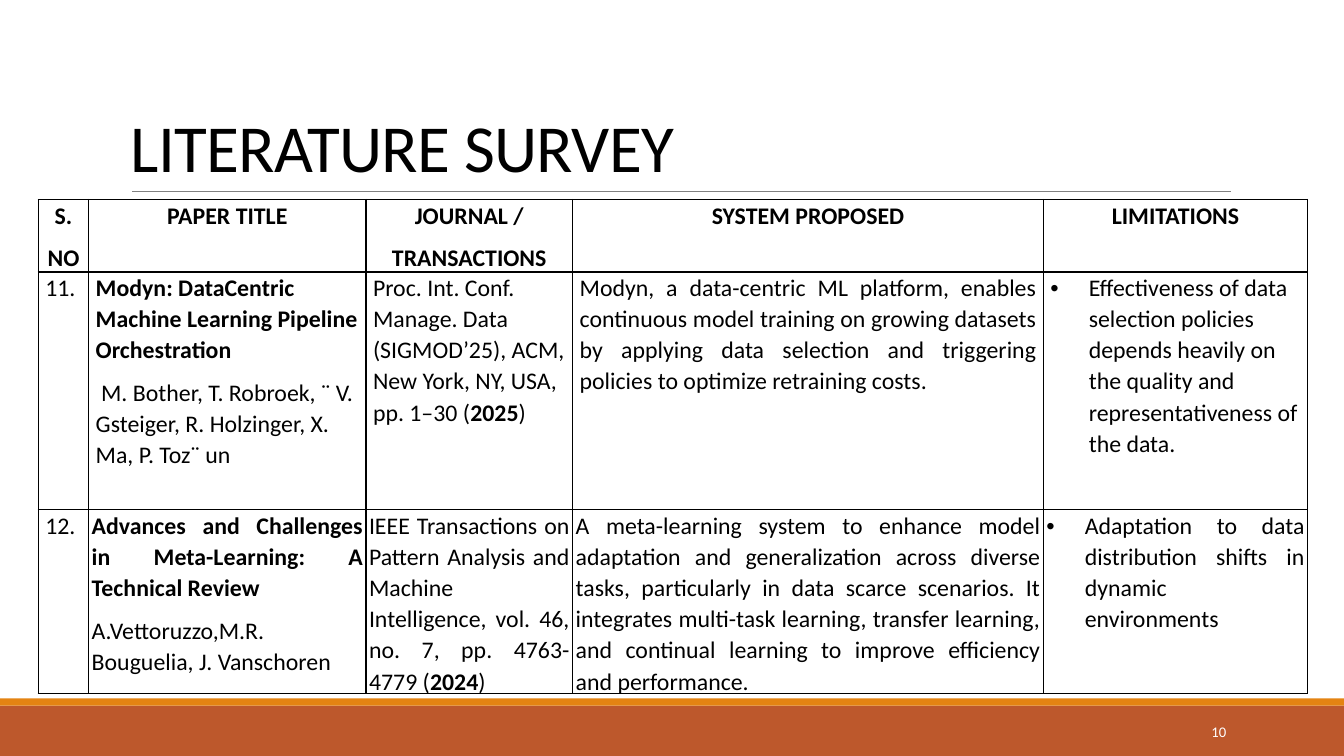
"""Build the literature survey slide with its table of reviewed papers."""
from dataclasses import dataclass

from lxml.etree import SubElement
from pptx import Presentation
from pptx.dml.color import RGBColor
from pptx.enum.shapes import MSO_CONNECTOR as Connector, MSO_SHAPE as Shape
from pptx.enum.text import MSO_ANCHOR as Anchor, PP_ALIGN as Align
from pptx.oxml.ns import qn
from pptx.util import Inches, Pt

TITLE = "LITERATURE SURVEY"
PAGE_NUMBER = "10"
HEADERS = [["S.", "NO"], ["PAPER TITLE"], ["JOURNAL /", "TRANSACTIONS"],
           ["SYSTEM PROPOSED"], ["LIMITATIONS"]]
PAPERS = [
    {
        "number": "11.",
        "title": "Modyn: DataCentric Machine Learning Pipeline Orchestration",
        "authors": " M. Bother, T. Robroek, ¨ V. Gsteiger, R. Holzinger, X. Ma, P. Toz¨ un",
        "journal": "Proc. Int. Conf. Manage. Data (SIGMOD’25), ACM, New York, NY, USA, pp. 1–30 (",
        "year": "2025",
        "system": "Modyn, a data-centric ML platform, enables continuous model training on "
                  "growing datasets by applying data selection and triggering policies to "
                  "optimize retraining costs.",
        "limitation": "Effectiveness of data selection policies depends heavily on the "
                      "quality and representativeness of the data.",
        "align": Align.LEFT,
        "inset": 0.07,
    },
    {
        "number": "12.",
        "title": "Advances and Challenges in Meta-Learning: A Technical Review",
        "authors": "A.Vettoruzzo,M.R. Bouguelia, J. Vanschoren",
        "journal": "IEEE Transactions on Pattern Analysis and Machine Intelligence, vol. 46, "
                   "no. 7, pp. 4763- 4779 (",
        "year": "2024",
        "system": "A meta-learning system to enhance model adaptation and generalization "
                  "across diverse tasks, particularly in data scarce scenarios. It integrates "
                  "multi-task learning, transfer learning, and continual learning to improve "
                  "efficiency and performance.",
        "limitation": "Adaptation to data distribution shifts in dynamic environments",
        "align": Align.JUSTIFY,
        "inset": 0.03,
    },
]
COLUMN_WIDTHS = [0.5, 2.75, 2.05, 4.67, 2.62]
ROW_HEIGHTS = [0.66, 2.36, 1.82]
BANDS = [(7, 0.5, "BD582C"), (6.93, 0.07, "E48312")]
SLIDE_WIDTH, SLIDE_HEIGHT = 13.33, 7.5


@dataclass(frozen=True)
class Theme:
    font: str = "Calibri"
    ink: str = "000000"
    light: str = "FFFFFF"
    rule: str = "808080"
    title_size: float = 48
    table_size: float = 17
    number_size: float = 10.5


THEME = Theme()


def color(value):
    return RGBColor.from_string(value)


def add_span(para, text, size, ink=THEME.ink, bold=False):
    span = para.add_run()
    span.text = text
    span.font.name, span.font.size, span.font.bold = THEME.font, Pt(size), bold
    span.font.color.rgb = color(ink)
    return span


def add_box(page, left, top, width, height, anchor):
    frame = page.shapes.add_textbox(
        Inches(left), Inches(top), Inches(width), Inches(height)).text_frame
    frame.word_wrap = True
    frame.vertical_anchor = anchor
    return frame.paragraphs[0]


def add_bullet(para):
    props = para._p.get_or_add_pPr()
    indent = Inches(0.38)
    props.set("marL", str(indent))
    props.set("indent", str(-indent))
    SubElement(props, qn("a:buFont")).set("typeface", "Arial")
    SubElement(props, qn("a:buChar")).set("char", "•")


def add_borders(cell):
    props = cell._tc.get_or_add_tcPr()
    for side in ("lnL", "lnR", "lnT", "lnB"):
        line = SubElement(props, qn(f"a:{side}"))
        line.set("w", str(Pt(1)))
        fill = SubElement(line, qn("a:solidFill"))
        SubElement(fill, qn("a:srgbClr")).set("val", THEME.ink)


def fill_cell(cell, paragraphs, align, inset, bullet=False):
    add_borders(cell)
    cell.fill.background()
    cell.margin_left = cell.margin_right = Inches(inset)
    cell.margin_top = cell.margin_bottom = 0
    frame = cell.text_frame
    for index, spans in enumerate(paragraphs):
        para = frame.add_paragraph() if index else frame.paragraphs[0]
        if bullet:
            add_bullet(para)
        para.alignment = align
        para.line_spacing = 1.07
        para.space_after = Pt(0 if bullet and align == Align.LEFT else 8)
        for text, bold in spans:
            add_span(para, text, THEME.table_size, bold=bold)


def add_backdrop(page):
    for top, height, fill in BANDS:
        band = page.shapes.add_shape(
            Shape.RECTANGLE, 0, Inches(top), Inches(SLIDE_WIDTH), Inches(height))
        band.shadow.inherit = False
        band.fill.solid()
        band.fill.fore_color.rgb = color(fill)
        band.line.fill.background()
    rule = page.shapes.add_connector(
        Connector.STRAIGHT, Inches(1.31), Inches(1.9), Inches(12.21), Inches(1.9))
    rule.line.color.rgb = color(THEME.rule)
    rule.line.width = Pt(0.5)
    SubElement(rule._element.spPr, qn("a:effectLst"))


def add_survey(page):
    table = page.shapes.add_table(
        len(ROW_HEIGHTS), len(COLUMN_WIDTHS), Inches(0.38), Inches(1.98),
        Inches(sum(COLUMN_WIDTHS)), Inches(sum(ROW_HEIGHTS))).table
    table.first_row = table.horz_banding = False
    for column, width in zip(table.columns, COLUMN_WIDTHS):
        column.width = Inches(width)
    for row, height in zip(table.rows, ROW_HEIGHTS):
        row.height = Inches(height)
    for index, lines in enumerate(HEADERS):
        fill_cell(table.cell(0, index), [[(line, True)] for line in lines],
                  Align.CENTER, 0.03)
    for row, paper in enumerate(PAPERS, 1):
        align, inset = paper["align"], paper["inset"]
        citation = [(paper["journal"], False), (paper["year"], True), (")", False)]
        title = [[(paper["title"], True)], [(paper["authors"], False)]]
        fill_cell(table.cell(row, 0), [[(paper["number"], False)]], Align.JUSTIFY, 0.07)
        fill_cell(table.cell(row, 1), title, align, inset)
        fill_cell(table.cell(row, 2), [citation], align, inset)
        fill_cell(table.cell(row, 3), [[(paper["system"], False)]], Align.JUSTIFY, inset)
        fill_cell(table.cell(row, 4), [[(paper["limitation"], False)]], align, inset,
                  bullet=True)


def main():
    deck = Presentation()
    deck.slide_width, deck.slide_height = Inches(SLIDE_WIDTH), Inches(SLIDE_HEIGHT)
    page = deck.slides.add_slide(deck.slide_layouts[6])
    add_backdrop(page)
    heading = add_box(page, 1.2, 0.31, 11, 1.59, Anchor.BOTTOM)
    heading.line_spacing = 0.85
    span = add_span(heading, TITLE, THEME.title_size)
    span._r.get_or_add_rPr().set("spc", "-50")
    add_survey(page)
    number = add_box(page, 10.83, 7.06, 1.43, 0.4, Anchor.MIDDLE)
    number.alignment = Align.RIGHT
    add_span(number, PAGE_NUMBER, THEME.number_size, THEME.light)
    deck.save("out.pptx")


if __name__ == "__main__":
    main()
